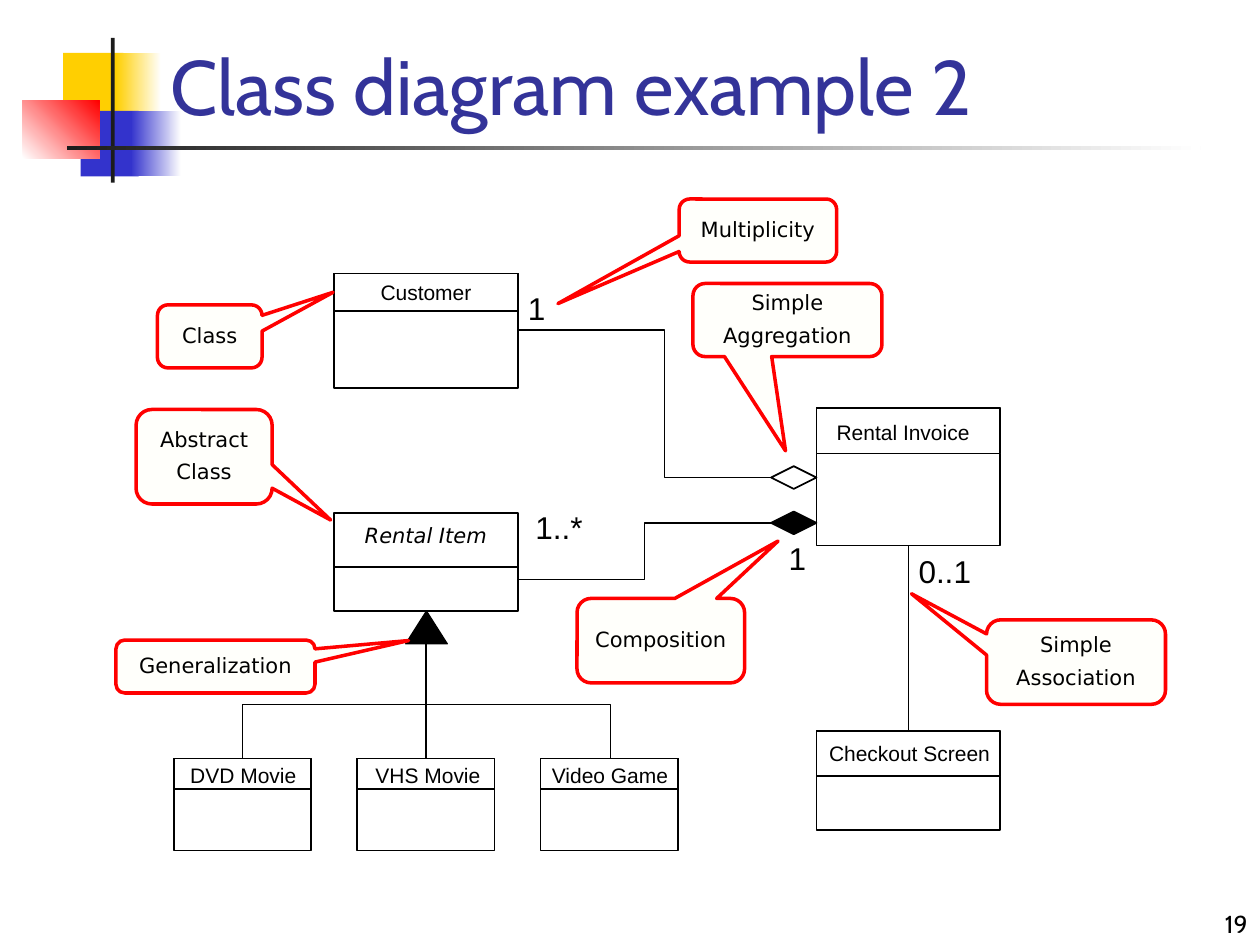
from lxml import etree
from pptx import Presentation
from pptx.dml.color import RGBColor
from pptx.enum.shapes import MSO_CONNECTOR as LINK, MSO_SHAPE as SHAPE
from pptx.enum.text import MSO_ANCHOR as ANCHOR, PP_ALIGN as ALIGN
from pptx.oxml.ns import qn
from pptx.util import Inches, Pt

COLORS = {"yellow": "FFCF01", "blue": "3333CC", "red": "FF0000", "dark": "1C1C1C",
          "title": "333399", "black": "000000", "white": "FFFFFF", "callout": "FFFFFB"}


def paint(shape, fill=None, line=None, width=1):
    shape.shadow.inherit = False
    if fill:
        shape.fill.solid()
        shape.fill.fore_color.rgb = RGBColor.from_string(COLORS[fill])
    else:
        shape.fill.background()
    if line:
        shape.line.color.rgb = RGBColor.from_string(COLORS[line])
        shape.line.width = Pt(width)
    else:
        shape.line.fill.background()


def write(shape, text, size=12, font="Arial", color="black", italic=False, align=ALIGN.LEFT,
          anchor=ANCHOR.TOP, insets=(0, 0), wrap=False, spacing=1, gap=0):
    frame = shape.text_frame
    across, down = map(Inches, insets)
    layout = {"word_wrap": wrap, "vertical_anchor": anchor, "margin_left": across,
              "margin_right": across, "margin_top": down, "margin_bottom": down}
    for name, value in layout.items():
        setattr(frame, name, value)
    frame.text = text
    look = {"size": Pt(size), "name": font, "italic": italic}
    for index, paragraph in enumerate(frame.paragraphs):
        paragraph.alignment = align
        paragraph.line_spacing = spacing
        paragraph.space_before = Pt(gap if index else 0)
        for name, value in look.items():
            setattr(paragraph.font, name, value)
        paragraph.font.color.rgb = RGBColor.from_string(COLORS[color])


deck = Presentation()
deck.slide_width, deck.slide_height = Inches(10), Inches(7.5)
slide = deck.slides.add_slide(deck.slide_layouts[5])
shapes = slide.shapes

decorations = [
    ((0.5, 0.42, 0.48, 0.52), ["yellow"], 0),
    ((0.92, 0.42, 0.36, 0.52), ["yellow", "white"], 0),
    ((0.64, 0.88, 0.46, 0.52), ["blue"], 0),
    ((1.04, 0.88, 0.4, 0.52), ["blue", "white"], 0),
    ((0.18, 0.8, 0.61, 0.46), ["white", "red"], 45),
    ((0.88, 0.3, 0.03, 1.15), ["dark"], 0),
    ((0.53, 1.16, 9, 0.03), ["dark", "white"], 0),
]
for place, tones, angle in decorations:
    block = shapes.add_shape(SHAPE.RECTANGLE, *map(Inches, place))
    paint(block, tones[0])
    if len(tones) == 2:
        block.fill.gradient()
        block.fill.gradient_angle = angle
        for stop, tone, position in zip(block.fill.gradient_stops, tones, (0, 1)):
            stop.color.rgb = RGBColor.from_string(COLORS[tone])
            stop.position = position

title = shapes.title
title.left, title.top, title.width, title.height = map(Inches, (1.25, 0.17, 8.53, 0.92))
write(title, "Class diagram example 2", 44, "Cabin", "title", anchor=ANCHOR.BOTTOM,
      insets=(0.1, 0.05), wrap=True)
shapes._spTree.append(title._element)

page = shapes.add_textbox(*map(Inches, (8.5, 7, 1.5, 0.5)))
write(page, "19", 14, "Cabin", align=ALIGN.RIGHT, anchor=ANCHOR.BOTTOM,
      insets=(0.1, 0.05), wrap=True)

classes = [
    ("Customer", 2.65, 2.17, 1.46, 0.91, 0.3, (3.02, 2.22, 0.85)),
    ("Rental Invoice", 6.48, 3.24, 1.46, 1.09, 0.36, (6.64, 3.33, 1.2)),
    ("Checkout Screen", 6.48, 5.8, 1.46, 0.79, 0.36, (6.58, 5.88, 1.35)),
]
subclasses = [("DVD Movie", 1.51), ("VHS Movie", 2.98), ("Video Game", 4.38)]
for index, (name, text_left) in enumerate(subclasses):
    classes.append((name, 1.38 + 1.455 * index, 6.02, 1.09, 0.73, 0.24,
                    (text_left, 6.05, 0.99)))

bodies = {}
for name, left, top, width, height, head, name_place in classes:
    bodies[name] = shapes.add_shape(
        SHAPE.RECTANGLE, *map(Inches, (left, top, width, height)))
    header = shapes.add_shape(SHAPE.RECTANGLE, *map(Inches, (left, top, width, head)))
    for part in (bodies[name], header):
        paint(part, "white", "black")
    write(shapes.add_textbox(*map(Inches, (*name_place, 0.2))), name)

rental_item = shapes.add_shape(SHAPE.RECTANGLE, *map(Inches, (2.65, 4.35, 1.46, 0.5)))
item_header = shapes.add_shape(SHAPE.RECTANGLE, *map(Inches, (2.65, 4.07, 1.46, 0.43)))
for part in (rental_item, item_header):
    paint(part, "white", "black")
write(item_header, "Rental Item", font="DejaVu Sans", italic=True, align=ALIGN.CENTER,
      anchor=ANCHOR.MIDDLE, insets=(0.1, 0.05), wrap=True, spacing=0.5)

for middle, fill in ((3.79, None), (4.15, "black")):
    outline = shapes.build_freeform(Inches(6.12), Inches(middle), 1)
    corners = [(6.3, middle - 0.09), (6.48, middle), (6.3, middle + 0.09)]
    outline.add_line_segments([(Inches(x), Inches(y)) for x, y in corners], close=True)
    paint(outline.convert_to_shape(), fill, "black")

multiplicities = [("1", 4.19, 2.29, 0.2), ("1..*", 4.25, 4.03, 0.5),
                  ("1", 6.26, 4.28, 0.2), ("0..1", 7.29, 4.38, 0.5)]
for text, left, top, width in multiplicities:
    write(shapes.add_textbox(*map(Inches, (left, top, width, 0.3))), text, 18)

links = [
    (LINK.STRAIGHT, (7.21, 5.8, 7.21, 4.33), 1, None, 0,
     (bodies["Checkout Screen"], bodies["Rental Invoice"])),
    (LINK.STRAIGHT, (3.38, 6.02, 3.38, 4.85), 0.75, None, 0,
     (bodies["VHS Movie"], rental_item)),
    (LINK.ELBOW, (3.39, 4.56, 3.38, 7.48), 0.75, -4300000, 270, None),
    (LINK.ELBOW, (6.12, 4.15, 4.11, 4.6), 0.75, 49900, 0, None),
    (LINK.ELBOW, (6.12, 3.79, 4.11, 2.62), 0.75, 42200, 0, None),
]
for kind, ends, width, bend, turn, joined in links:
    link = shapes.add_connector(kind, *map(Inches, ends))
    link.line.color.rgb = RGBColor.from_string(COLORS["black"])
    link.line.width = Pt(width)
    properties = link._element.spPr
    etree.SubElement(properties, qn("a:effectLst"))
    if bend is not None:
        guides = properties.find(qn("a:prstGeom")).find(qn("a:avLst"))
        etree.SubElement(guides, qn("a:gd"), name="adj1", fmla=f"val {bend}")
    if turn:
        properties.find(qn("a:xfrm")).set("rot", str(turn * 60000))
    if joined:
        link.begin_connect(joined[0], 0)
        link.end_connect(joined[1], 2)

triangle = shapes.add_shape(SHAPE.FLOWCHART_EXTRACT, *map(Inches, (3.22, 4.85, 0.33, 0.26)))
paint(triangle, "black", "black", 0.75)

callouts = [
    ("Simple\nAssociation", (7.83, 4.92, 1.42, 0.67), (-0.92, -0.81)),
    ("Class", (1.25, 2.42, 0.83, 0.5), (1.18, -0.7)),
    ("Abstract\nClass", (1.08, 3.25, 1.08, 0.75), (0.93, 0.67)),
    ("Simple\nAggregation", (5.5, 2.25, 1.5, 0.58), (-0.01, 1.79)),
    ("Generalization", (0.92, 5.08, 1.58, 0.42), (0.97, -0.49)),
    ("Composition", (4.58, 4.75, 1.33, 0.67), (0.7, -1.18)),
    ("Multiplicity", (5.39, 1.58, 1.25, 0.5), (-1.27, 1.16)),
]
for text, place, tip in callouts:
    callout = shapes.add_shape(SHAPE.ROUNDED_RECTANGULAR_CALLOUT, *map(Inches, place))
    callout.adjustments[0], callout.adjustments[1] = tip
    paint(callout, "callout", "red", 2)
    write(callout, text, font="DejaVu Sans", align=ALIGN.CENTER, anchor=ANCHOR.MIDDLE,
          insets=(0.1, 0.05), spacing=0.89, gap=6)

deck.save("out.pptx")
